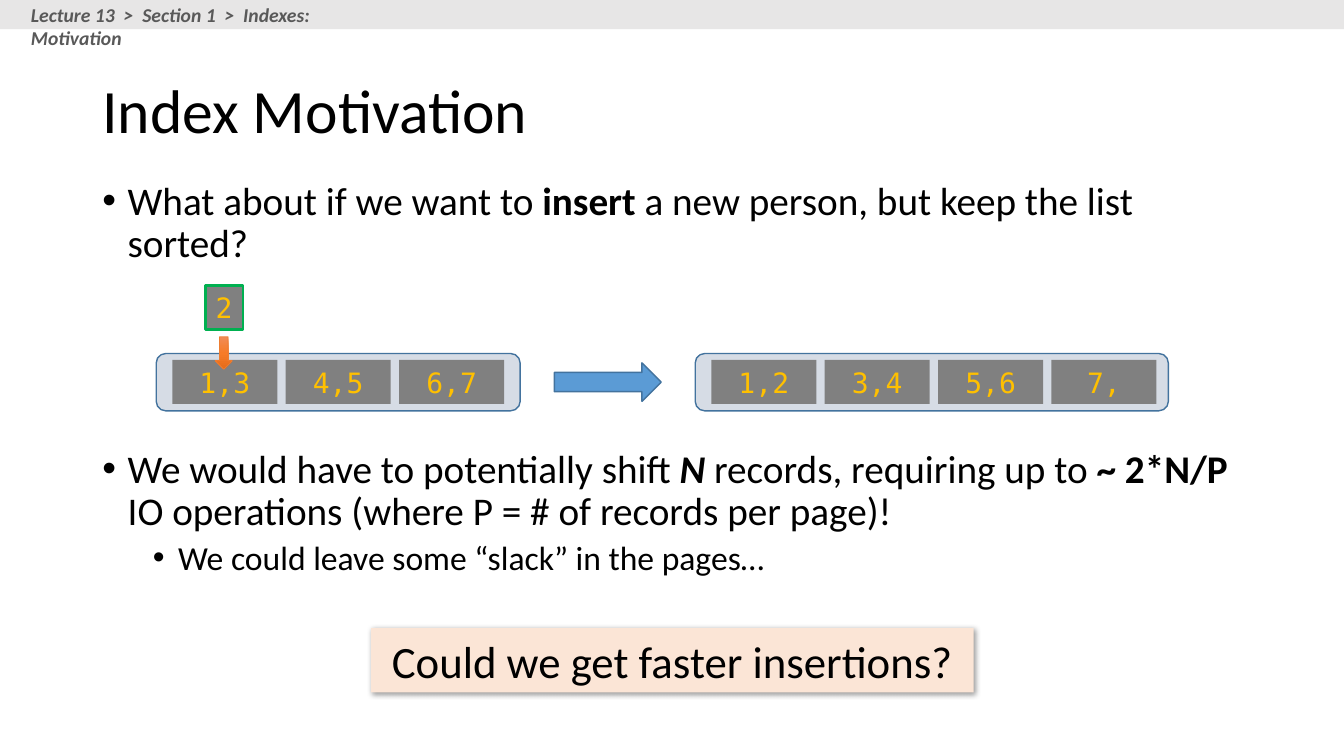
from copy import deepcopy

from lxml.etree import SubElement
from pptx import Presentation
from pptx.dml.color import RGBColor
from pptx.enum.shapes import MSO_SHAPE
from pptx.enum.text import MSO_ANCHOR, MSO_AUTO_SIZE, PP_ALIGN
from pptx.oxml.ns import qn
from pptx.util import Pt

COLORS = {
    "black": "000000", "header": "E7E6E6", "header_text": "595959",
    "page": "D6DCE5", "outline": "43739E", "record": "808080",
    "record_text": "FFC000", "new": "00B050", "arrow": "5B9BD5",
    "insert": "ED7D31", "callout": "FBE5D6",
    "grad_top": "F18C57", "grad_mid": "F67B28", "grad_end": "E56C19",
}
SANS, MONO = "Calibri", "DejaVu Sans Mono"
CELL_W, CELL_H, CELL_STEP = 75, 31.5, 81


def rgb(name):
    return RGBColor.from_string(COLORS[name])


def add_text(p, text, size, color="black", font=SANS, bold=False, italic=False):
    r = p.add_run()
    r.text = text
    r.font.size, r.font.name = Pt(size), font
    r.font.bold, r.font.italic = bold, italic
    r.font.color.rgb = rgb(color)


def place(s, box):
    s.left, s.top, s.width, s.height = (Pt(v) for v in box)


def add_box(slide, kind, box, fill, line=None, line_width=1):
    s = slide.shapes.add_shape(kind, *(Pt(v) for v in box))
    s.shadow.inherit = False
    s.fill.solid()
    s.fill.fore_color.rgb = rgb(fill)
    if line:
        s.line.color.rgb = rgb(line)
        s.line.width = Pt(line_width)
    else:
        s.line.fill.background()
    return s


def add_label(s, text, size, **style):
    tf = s.text_frame
    tf.vertical_anchor = MSO_ANCHOR.MIDDLE
    p = tf.paragraphs[0]
    p.alignment = PP_ALIGN.CENTER
    add_text(p, text, size, **style)


def add_record(slide, box, text, **line):
    s = add_box(slide, MSO_SHAPE.RECTANGLE, box, "record", **line)
    s.text_frame.word_wrap = False
    add_label(s, text, 20, color="record_text", font=MONO)


def add_header(slide, box):
    x, y, w, h = box
    add_box(slide, MSO_SHAPE.RECTANGLE, box, "header")
    s = slide.shapes.add_textbox(Pt(x + 15), Pt(y - 1.5), Pt(276.5), Pt(24.5))
    s.text_frame.word_wrap = True
    add_text(s.text_frame.paragraphs[0],
             "Lecture 13  >  Section 1  >  Indexes: Motivation", 14,
             color="header_text", bold=True, italic=True)


def add_title(slide, box, text):
    s = slide.shapes.title
    place(s, box)
    tf = s.text_frame
    tf.auto_size = MSO_AUTO_SIZE.NONE
    tf.vertical_anchor = MSO_ANCHOR.MIDDLE
    p = tf.paragraphs[0]
    p.alignment, p.line_spacing = PP_ALIGN.LEFT, 0.9
    add_text(p, text, 44)


def add_bullets(slide, box, items):
    s = slide.placeholders[1]
    place(s, box)
    tf = s.text_frame
    tf.auto_size = MSO_AUTO_SIZE.NONE
    for i, (level, size, before, runs) in enumerate(items):
        p = tf.paragraphs[0] if i == 0 else tf.add_paragraph()
        p.level, p.line_spacing, p.space_before = level, 0.9, Pt(before)
        pPr = p._p.get_or_add_pPr()
        pPr.set("marL", str(Pt(18 + 36 * level)))
        pPr.set("indent", str(Pt(-18)))
        SubElement(pPr, qn("a:buFont"), typeface="Arial")
        SubElement(pPr, qn("a:buChar"), char="•")
        for text, style in runs:
            add_text(p, text, size, **style)


def add_page_row(slide, box, records):
    """Rounded frame with evenly spaced record cells."""
    x, y, w, h = box
    add_box(slide, MSO_SHAPE.ROUNDED_RECTANGLE, box, "page", "outline")
    for i, text in enumerate(records):
        add_record(slide, (x + 11.5 + i * CELL_STEP, y + 4.5, CELL_W, CELL_H), text)


def add_insertion(slide, box):
    """New record with a gradient arrow below it."""
    x, y, w, h = box
    add_record(slide, (x, y, w, CELL_H), "2", line="new", line_width=2)
    s = add_box(slide, MSO_SHAPE.DOWN_ARROW, (x + 7.2, y + 36.7, 12.2, h - 36.7),
                "insert", "insert", 0.5)
    s.fill.gradient()
    s.fill.gradient_angle = 270
    gs = s._element.spPr.find(qn("a:gradFill")).find(qn("a:gsLst"))
    gs.insert(1, deepcopy(gs[0]))
    names = ("grad_top", "grad_mid", "grad_end")
    for i, (stop, name) in enumerate(zip(s.fill.gradient_stops, names)):
        stop.position = i / 2
        stop.color.rgb = rgb(name)


def add_diagram(slide, box):
    x, y, w, h = box
    row_y, row_h = y + 48.7, 41
    add_page_row(slide, (x, row_y, 260, row_h), ["1,3", "4,5", "6,7"])
    add_box(slide, MSO_SHAPE.RIGHT_ARROW, (x + 284.4, row_y + 6.7, 76.3, 27.5),
            "arrow", "outline")
    add_page_row(slide, (x + w - 338, row_y, 338, row_h),
                 ["1,2", "3,4", "5,6", "7,"])
    add_insertion(slide, (x + 35, y, 27, 60))


def add_callout(slide, box, text):
    s = add_box(slide, MSO_SHAPE.RECTANGLE, box, "callout")
    add_label(s, text, 32)
    # Soft shadow to the lower right
    effects = s._element.spPr.find(qn("a:effectLst"))
    shadow = SubElement(effects, qn("a:outerShdw"), blurRad=str(Pt(4)),
                        dist=str(Pt(1.5)), dir="2700000", algn="tl", rotWithShape="0")
    color = SubElement(shadow, qn("a:srgbClr"), val=COLORS["black"])
    SubElement(color, qn("a:alpha"), val="40000")


def main():
    prs = Presentation()
    prs.slide_width, prs.slide_height = Pt(960), Pt(540)
    slide = prs.slides.add_slide(prs.slide_layouts[1])
    bold = {"bold": True}
    add_title(slide, (66, 28.75, 828, 104.4), "Index Motivation")
    add_bullets(slide, (66, 126, 828, 299.5), [
        (0, 28, 10, [("What about if we want to ", {}), ("insert", bold),
                     (" a new person, but keep the list sorted?", {})]),
        # Wide space above leaves room for the diagram
        (0, 28, 131, [("We would have to potentially shift ", {}),
                      ("N", {"bold": True, "italic": True}),
                      (" records, requiring up to ", {}), ("~ 2*N/P ", bold),
                      ("IO operations (where P = # of records per page)!", {})]),
        (1, 24, 5, [("We could leave some “slack” in the pages…", {})]),
    ])
    add_diagram(slide, (111.6, 203.8, 723, 89.7))
    add_callout(slide, (265, 448.6, 430.5, 46), "Could we get faster insertions?")
    add_header(slide, (0, 0, 960, 20.9))
    prs.save("out.pptx")


if __name__ == "__main__":
    main()
